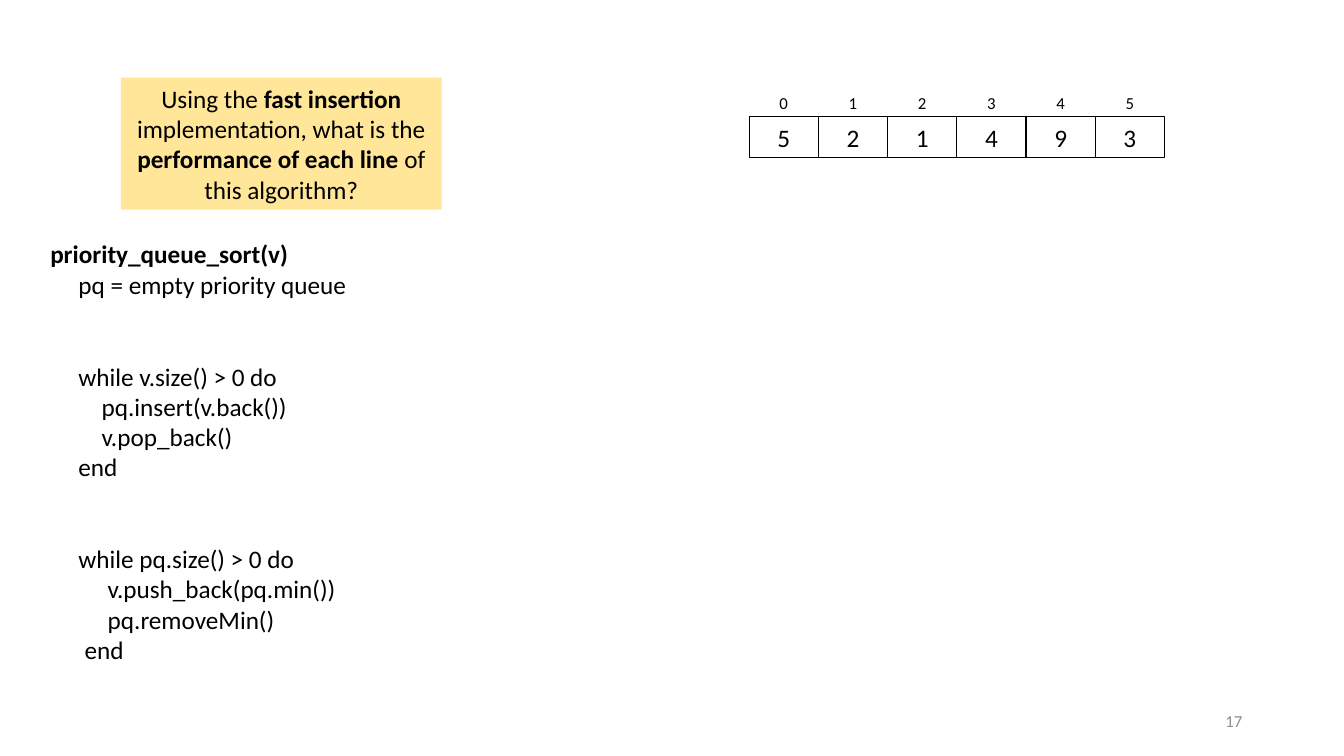
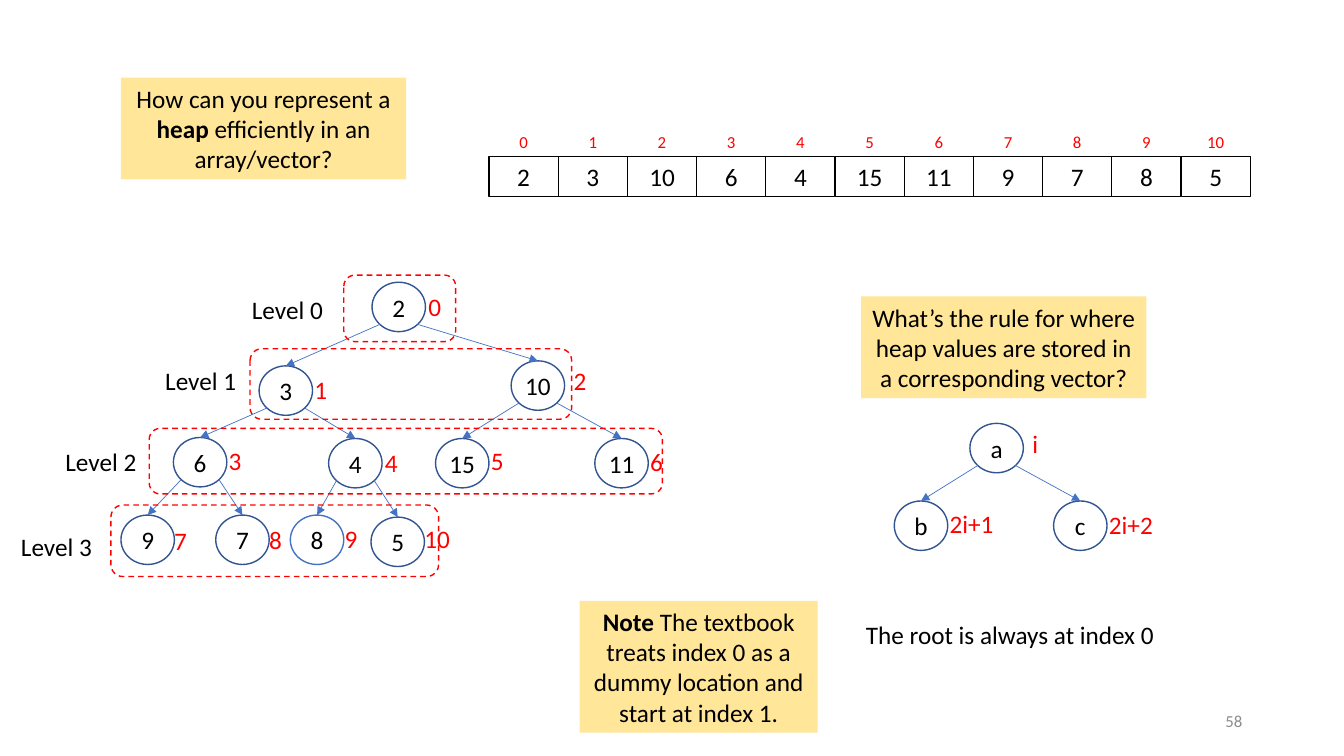
from dataclasses import dataclass
from math import sqrt

import lxml.etree
import pptx
import pptx.dml.color
import pptx.enum.dml
import pptx.enum.shapes
import pptx.enum.text
import pptx.oxml.ns
import pptx.presentation
import pptx.shapes.autoshape
import pptx.shapes.base
import pptx.slide
import pptx.text.text
import pptx.util

Inches = pptx.util.Inches
Pt = pptx.util.Pt
RGBColor = pptx.dml.color.RGBColor
Align = pptx.enum.text.PP_ALIGN
Anchor = pptx.enum.text.MSO_ANCHOR
Shape = pptx.enum.shapes.MSO_SHAPE
Slide = pptx.slide.Slide

BLACK = RGBColor(0x00, 0x00, 0x00)
RED = RGBColor(0xFF, 0x00, 0x00)
GRAY = RGBColor(0x8C, 0x8C, 0x8C)
YELLOW = RGBColor(0xFF, 0xE6, 0x99)
BLUE = RGBColor(0x44, 0x72, 0xC4)
NAVY = RGBColor(0x32, 0x54, 0x91)

FONT = "Calibri"
BODY = 18
SMALL = 12
LINE_HEIGHT = 22
NODE_W, NODE_H = 0.53, 0.49


@dataclass(frozen=True)
class Box:
    left: float
    top: float
    width: float
    height: float = 0.4

    def lengths(self) -> list[pptx.util.Length]:
        return [Inches(v) for v in (self.left, self.top, self.width, self.height)]


@dataclass(frozen=True)
class Note:
    box: Box
    text: str


@dataclass(frozen=True)
class Label:
    box: Box
    text: str
    color: RGBColor = BLACK


@dataclass(frozen=True)
class Node:
    value: str
    left: float
    top: float
    index: Label
    line: RGBColor = NAVY


@dataclass(frozen=True)
class CodeLine:
    text: str
    indent: float = 0
    blank_before: int = 0
    bold: bool = False


def index_label(text: str, left: float, top: float, width: float = 0.33) -> Label:
    return Label(Box(left, top, width), text, RED)


SORT_CODE = [
    CodeLine("priority_queue_sort(v)", bold=True),
    CodeLine("pq = empty priority queue", 0.28),
    CodeLine("while v.size() > 0 do", 0.28, 2),
    CodeLine("pq.insert(v.back())", 0.51),
    CodeLine("v.pop_back()", 0.51),
    CodeLine("end", 0.28),
    CodeLine("while pq.size() > 0 do", 0.28, 2),
    CodeLine("v.push_back(pq.min())", 0.57),
    CodeLine("pq.removeMin()", 0.57),
    CodeLine("end", 0.34),
]

HEAP = [
    Node("2", 3.69, 2.8, index_label("0", 4.15, 2.84)),
    Node("3", 2.57, 3.63, index_label("1", 3.02, 3.66)),
    Node("10", 5.07, 3.58, index_label("2", 5.59, 3.58)),
    Node("6", 1.72, 4.34, index_label("3", 2.17, 4.37)),
    Node("4", 3.26, 4.35, index_label("4", 3.72, 4.39)),
    Node("15", 4.32, 4.35, index_label("5", 4.77, 4.37)),
    Node("11", 5.9, 4.35, index_label("6", 6.35, 4.38)),
    Node("9", 1.2, 5.11, index_label("7", 1.63, 5.16)),
    Node("7", 2.14, 5.11, index_label("8", 2.57, 5.15)),
    Node("8", 2.88, 5.11, index_label("9", 3.32, 5.14), BLUE),
    Node("5", 3.68, 5.13, index_label("10", 4.11, 5.14, 0.46)),
]

INDEX_RULE = [
    Node("a", 9.62, 4.2, index_label("i", 10.14, 4.2, 0.26)),
    Node("b", 8.87, 4.97, index_label("2i+1", 9.32, 4.99, 0.64)),
    Node("c", 10.45, 4.97, index_label("2i+2", 10.9, 5, 0.69)),
]

LEVEL_FRAMES = [
    Box(3.41, 2.73, 1.11, 0.66),
    Box(2.48, 3.46, 3.19, 0.7),
    Box(1.48, 4.25, 5.09, 0.65),
    Box(1.1, 5.01, 3.25, 0.71),
]
LEVEL_LABELS = [(2.4, 2.87), (1.54, 3.58), (0.55, 4.38), (0.11, 5.22)]

HEAP_NOTES = [
    Note(Box(1.2, 0.77, 2.83, 1.01),
         "How can you represent a *heap* efficiently in an array/vector?"),
    Note(Box(8.54, 2.94, 2.83, 1.01),
         "What’s the rule for where heap values are stored in a corresponding vector?"),
    Note(Box(5.75, 5.96, 2.36, 1.31),
         "*Note* The textbook treats index 0 as a dummy location and start at index 1."),
]


def format_run(r: pptx.text.text._Run, color: RGBColor = BLACK,
               size: int = BODY, bold: bool = False) -> None:
    r.font.name = FONT
    r.font.size = Pt(size)
    r.font.bold = bold
    r.font.color.rgb = color


def add_text(s: Slide, label: Label, size: int = BODY, align: Align = Align.LEFT,
             anchor: Anchor = Anchor.TOP, wrap: bool = False) -> None:
    tf = s.shapes.add_textbox(*label.box.lengths()).text_frame
    tf.word_wrap = wrap
    tf.vertical_anchor = anchor
    tf.text = label.text
    p = tf.paragraphs[0]
    p.alignment = align
    format_run(p.runs[0], label.color, size)


def add_shape(s: Slide, kind: Shape, box: Box, text: str = "",
              fill: RGBColor | None = None, line: RGBColor | None = None,
              weight: float = 1) -> pptx.shapes.autoshape.Shape:
    sp = s.shapes.add_shape(kind, *box.lengths())
    sp.shadow.inherit = False
    if fill is None:
        sp.fill.background()
    else:
        sp.fill.solid()
        sp.fill.fore_color.rgb = fill
    if line is None:
        sp.line.fill.background()
    else:
        sp.line.color.rgb = line
        sp.line.width = Pt(weight)
    sp.text_frame.vertical_anchor = Anchor.MIDDLE
    p = sp.text_frame.paragraphs[0]
    p.alignment = Align.CENTER
    for i, part in enumerate(text.split("*")):
        if part:
            r = p.add_run()
            r.text = part
            format_run(r, bold=i % 2 == 1)
    return sp


def add_note(s: Slide, note: Note) -> None:
    sp = add_shape(s, Shape.RECTANGLE, note.box, note.text, fill=YELLOW)
    sp.text_frame.word_wrap = True


def add_array(s: Slide, box: Box, values: list[int], index_color: RGBColor) -> None:
    cell_w = box.width / len(values)
    for i, value in enumerate(values):
        left = box.left + i * cell_w
        add_shape(s, Shape.RECTANGLE, Box(left, box.top, cell_w, box.height),
                  str(value), line=BLACK, weight=0.75)
        add_text(s, Label(Box(left, box.top - 0.29, cell_w, 0.3), str(i), index_color),
                 SMALL, Align.CENTER, wrap=True)


def add_arrow(s: Slide, parent: Node, child: pptx.shapes.base.BaseShape, side: int) -> None:
    x = parent.left + NODE_W / 2 * (1 + side / sqrt(2))
    y = parent.top + NODE_H / 2 * (1 + 1 / sqrt(2))
    c = s.shapes.add_connector(pptx.enum.shapes.MSO_CONNECTOR.STRAIGHT,
                               Inches(x), Inches(y), Inches(x), Inches(y))
    c.end_connect(child, 0)
    c.line.color.rgb = BLUE
    c.line.width = Pt(0.5)
    qn = pptx.oxml.ns.qn
    lxml.etree.SubElement(c.line._get_or_add_ln(), qn("a:tailEnd"), type="triangle")
    lxml.etree.SubElement(c._element.spPr, qn("a:effectLst"))


def add_tree(s: Slide, nodes: list[Node]) -> None:
    for i, node in enumerate(nodes):
        sp = add_shape(s, Shape.OVAL, Box(node.left, node.top, NODE_W, NODE_H),
                       node.value, line=node.line)
        tf = sp.text_frame
        tf.word_wrap = False
        tf.margin_left = tf.margin_right = tf.margin_top = tf.margin_bottom = 0
        if i:
            add_arrow(s, nodes[(i - 1) // 2], sp, -1 if i % 2 else 1)
        add_text(s, node.index)


def add_code(s: Slide, box: Box, lines: list[CodeLine]) -> None:
    tf = s.shapes.add_textbox(*box.lengths()).text_frame
    tf.word_wrap = True
    tf.text = "\n".join(line.text for line in lines)
    for p, line in zip(tf.paragraphs, lines):
        p._p.get_or_add_pPr().set("marL", str(Inches(line.indent)))
        p.space_before = Pt(line.blank_before * LINE_HEIGHT)
        format_run(p.runs[0], bold=line.bold)


def new_slide(prs: pptx.presentation.Presentation, number: int) -> Slide:
    s = prs.slides.add_slide(prs.slide_layouts[6])
    add_text(s, Label(Box(9.42, 6.95, 3), str(number), GRAY),
             SMALL, Align.RIGHT, Anchor.MIDDLE, wrap=True)
    return s


def build_sort_slide(prs: pptx.presentation.Presentation) -> None:
    s = new_slide(prs, 17)
    add_array(s, Box(7.43, 1.16, 4.12), [5, 2, 1, 4, 9, 3], BLACK)
    add_code(s, Box(0.4, 2.32, 3.35, 4.34), SORT_CODE)
    add_note(s, Note(Box(1.2, 0.77, 3.18, 1.31),
                     "Using the *fast insertion *implementation, what is the "
                     "*performance of each line* of this algorithm?"))


def build_heap_slide(prs: pptx.presentation.Presentation) -> None:
    s = new_slide(prs, 58)
    add_array(s, Box(4.85, 1.55, 7.55), [int(node.value) for node in HEAP], RED)
    add_tree(s, HEAP)
    for level, (frame, (left, top)) in enumerate(zip(LEVEL_FRAMES, LEVEL_LABELS)):
        sp = add_shape(s, Shape.ROUNDED_RECTANGLE, frame, line=RED)
        sp.line.dash_style = pptx.enum.dml.MSO_LINE.DASH
        add_text(s, Label(Box(left, top, 0.92), f"Level {level}"))
    add_tree(s, INDEX_RULE)
    add_text(s, Label(Box(8.49, 6.09, 3.09), "The root is always at index 0"))
    for note in HEAP_NOTES:
        add_note(s, note)


def main() -> None:
    prs = pptx.Presentation()
    prs.slide_width = Inches(13.33)
    prs.slide_height = Inches(7.5)
    build_sort_slide(prs)
    build_heap_slide(prs)
    prs.save("out.pptx")


if __name__ == "__main__":
    main()
